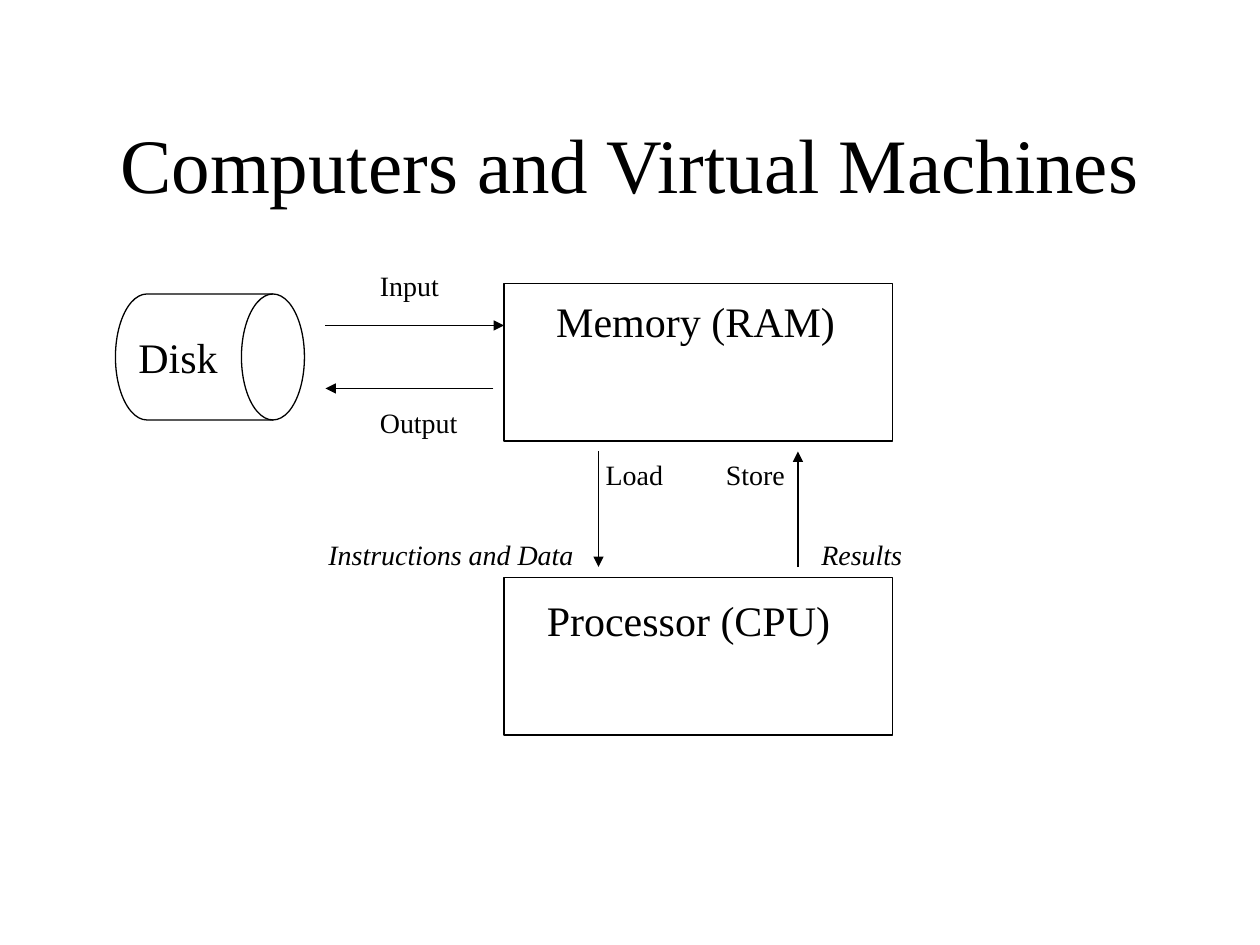
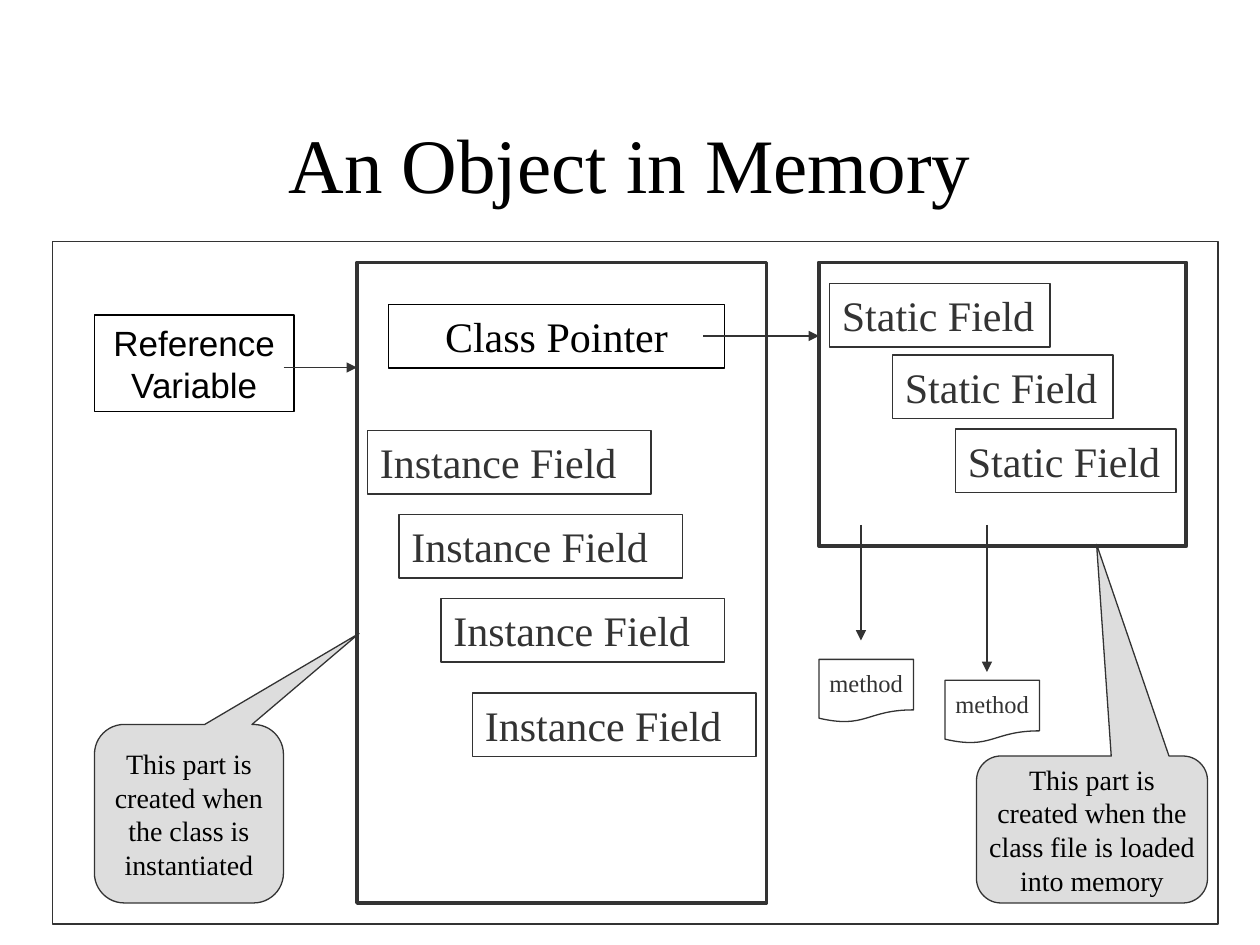
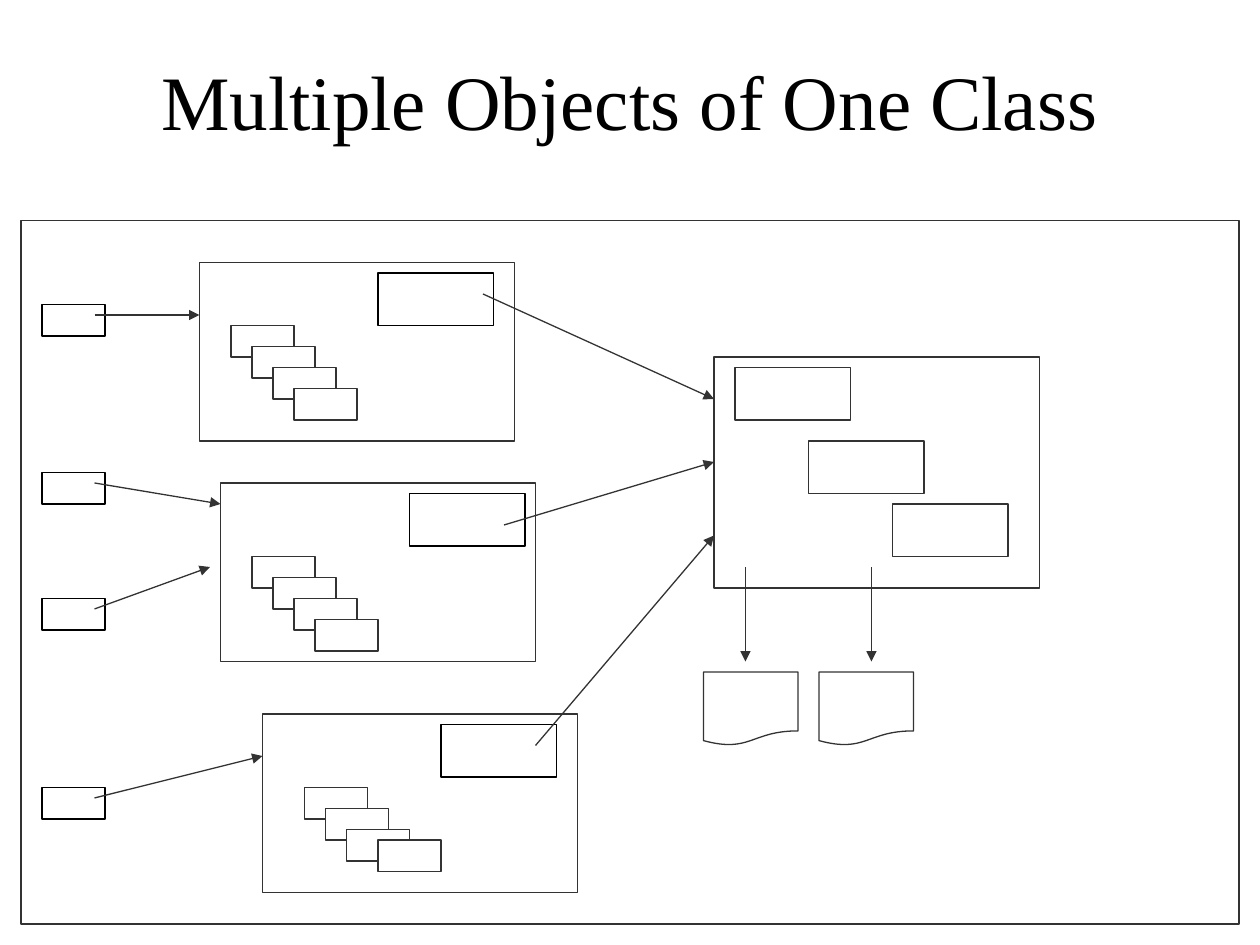
"""Build three slides on computer memory, objects and classes."""
from lxml import etree
from pptx import Presentation
from pptx import util as u
from pptx.dml.color import RGBColor
from pptx.enum import shapes, text
from pptx.oxml import ns

BLACK = RGBColor(0x00, 0x00, 0x00)
GRAY = RGBColor(0x33, 0x33, 0x33)
PALE = RGBColor(0xDD, 0xDD, 0xDD)
WHITE = RGBColor(0xFF, 0xFF, 0xFF)
SERIF, SANS = "Times New Roman", "Arial"
COLUMNS, ROWS = 120, 90
CELL = u.Inches(10) / COLUMNS
CENTER, LEFT = text.PP_ALIGN.CENTER, text.PP_ALIGN.LEFT
MIDDLE, TOP = text.MSO_ANCHOR.MIDDLE, text.MSO_ANCHOR.TOP
RECTANGLE = shapes.MSO_SHAPE.RECTANGLE
DOCUMENT = shapes.MSO_SHAPE.FLOWCHART_DOCUMENT
DRUM = shapes.MSO_SHAPE.FLOWCHART_DIRECT_ACCESS_STORAGE
CALLOUT = shapes.MSO_SHAPE.ROUNDED_RECTANGULAR_CALLOUT

COMPUTER_PARTS = [(RECTANGLE, (48, 27, 37, 15)), (RECTANGLE, (48, 55, 37, 15)),
                  (DRUM, (11, 28, 18, 12))]
COMPUTER_LABELS = [
    ("Memory (RAM)", (51.8, 27.6, 29.5, 6), 24, False),
    ("Processor (CPU)", (50.9, 56, 30, 6), 24, False),
    ("Disk", (12, 31, 10.5, 6), 24, False),
    ("Instructions and Data", (30.1, 50.6, 26.5, 4.4), 16, True),
    ("Results", (77.05, 50.6, 10.5, 4.4), 16, True),
    ("Input", (35, 25, 8.5, 4.4), 16, False),
    ("Output", (35, 38, 10.5, 4.4), 16, False),
    ("Load", (56.5, 43, 8.5, 4.4), 16, False),
    ("Store", (67.95, 43, 8.5, 4.4), 16, False),
]
COMPUTER_ARROWS = [(57, 43, 57, 54), (76, 54, 76, 43), (31, 31, 48, 31), (47, 37, 31, 37)]

INSTANCE_FIELDS = [(35, 41), (38, 49), (42, 57), (45, 66)]
STATIC_FIELDS = [(79, 27), (85, 33.8), (91, 40.85)]
METHODS = [(78, 62.8), (90, 64.8)]
MEMORY_ARROWS = [(82, 50, 82, 61), (94, 50, 94, 64), (27, 35, 34, 35), (67, 32, 78, 32)]
CALLOUTS = [
    (["This part is", "created when", "the class is", "instantiated"],
     (9, 69, 18, 17), (0.9, -1.01)),
    (["This part is", "created when the", "class file is loaded", "into memory"],
     (93, 72, 22, 14), (0.02, -1.94)),
]

OBJECTS = [
    {"corner": (19, 25), "pointer": (36, 26), "fields": [(22 + 2 * i, 31 + 2 * i) for i in range(4)]},
    {"corner": (21, 46), "pointer": (39, 47), "fields": [(24 + 2 * i, 53 + 2 * i) for i in range(4)]},
    {"corner": (25, 68), "pointer": (42, 69),
     "fields": [(29 + 2 * i, 75 + 2 * i) for i in range(3)] + [(36, 80)]},
]
REFERENCE_ROWS = [29, 45, 57, 75]
REFERENCE_TARGETS = [(19, 30), (21, 48), (20, 54), (25, 72)]
CLASS_STATICS = [(70, 35), (77, 42), (85, 48)]
CLASS_METHODS = [(67, 64), (78, 64)]
CLASS_ARROWS = [(46, 28, 68, 38), (48, 50, 68, 44), (51, 71, 68, 51),
                (71, 54, 71, 63), (83, 54, 83, 63)]


def grid(*cells):
    return [u.Emu(round(cell * CELL)) for cell in cells]


def write(shape, lines, size, color=BLACK, align=LEFT, anchor=TOP, font=SERIF, wrap=True, italic=False):
    frame = shape.text_frame
    frame.word_wrap = wrap
    frame.vertical_anchor = anchor
    frame.text = "\n".join(lines)
    for paragraph in frame.paragraphs:
        paragraph.alignment = align
        paragraph.font.name = font
        paragraph.font.size = u.Pt(size)
        paragraph.font.color.rgb = color
        paragraph.font.italic = italic


def add_label(page, label, area, size, **style):
    write(page.shapes.add_textbox(*grid(*area)), [label], size, **style)


def add_part(page, area, kind=RECTANGLE, line=GRAY, width=0.75, fill=None):
    part = page.shapes.add_shape(kind, *grid(*area))
    part.shadow.inherit = False
    part.line.color.rgb = line
    part.line.width = u.Pt(width)
    if fill is None:
        part.fill.background()
    else:
        part.fill.solid()
        part.fill.fore_color.rgb = fill
    return part


def add_arrows(page, arrows, color=GRAY):
    for ends in arrows:
        arrow = page.shapes.add_connector(shapes.MSO_CONNECTOR.STRAIGHT, *grid(*ends))
        arrow.line.color.rgb = color
        arrow.line.width = u.Pt(0.75)
        etree.SubElement(arrow.line._get_or_add_ln(), ns.qn("a:tailEnd"), type="triangle")
        etree.SubElement(arrow._element.spPr, ns.qn("a:effectLst"))


def add_page(deck, title, row=8):
    page = deck.slides.add_slide(deck.slide_layouts[6])
    add_label(page, title, (9, row, 102, 15), 44, align=CENTER, anchor=MIDDLE)
    return page


def build_computer(deck):
    page = add_page(deck, "Computers and Virtual Machines")
    for kind, area in COMPUTER_PARTS:
        add_part(page, area, kind, BLACK)
    for label, area, size, italic in COMPUTER_LABELS:
        add_label(page, label, area, size, italic=italic)
    add_arrows(page, COMPUTER_ARROWS, BLACK)


def build_memory(deck):
    page = add_page(deck, "An Object in Memory")
    add_part(page, (5, 23, 111, 65))
    for area in [(34, 25, 39, 61), (78, 25, 35, 27)]:
        add_part(page, area, width=2.25)
    reference = add_part(page, (9, 30, 19, 9.2), line=BLACK, width=1)
    write(reference, ["Reference Variable"], 20, align=CENTER, font=SANS)
    pointer = add_part(page, (37, 29, 32, 6.05), line=BLACK, width=1)
    write(pointer, ["Class Pointer"], 24, align=CENTER)
    for label, corners, width in [("Instance Field", INSTANCE_FIELDS, 27),
                                  ("Static Field", STATIC_FIELDS, 21)]:
        for corner in corners:
            write(add_part(page, (*corner, width, 6.05), width=1), [label], 24, GRAY)
    for left, top in METHODS:
        add_part(page, (left, top, 9, 6), DOCUMENT)
        add_label(page, "method", (left - 1, top + 0.2, 11, 4.1), 14, color=GRAY, align=CENTER)
    add_arrows(page, MEMORY_ARROWS)
    for lines, area, tip in CALLOUTS:
        callout = add_part(page, area, CALLOUT, fill=PALE)
        callout.adjustments[0], callout.adjustments[1] = tip
        write(callout, lines, 16, align=CENTER, anchor=MIDDLE, wrap=False)


def build_objects(deck):
    page = add_page(deck, "Multiple Objects of One Class", row=2)
    add_part(page, (2, 21, 116, 67))
    for item in OBJECTS:
        add_part(page, (*item["corner"], 30, 17))
        add_part(page, (*item["pointer"], 11, 5), line=BLACK)
        for field in item["fields"]:
            add_part(page, (*field, 6, 3), fill=WHITE)
    add_part(page, (68, 34, 31, 22))
    for corner in CLASS_STATICS:
        add_part(page, (*corner, 11, 5))
    for corner in CLASS_METHODS:
        add_part(page, (*corner, 9, 7), DOCUMENT)
    for row, target in zip(REFERENCE_ROWS, REFERENCE_TARGETS):
        add_part(page, (4, row, 6, 3), line=BLACK)
        add_arrows(page, [(9, row + 1, *target)])
    add_arrows(page, CLASS_ARROWS)


def main():
    deck = Presentation()
    deck.slide_width, deck.slide_height = grid(COLUMNS, ROWS)
    build_computer(deck)
    build_memory(deck)
    build_objects(deck)
    deck.save("out.pptx")


if __name__ == "__main__":
    main()
